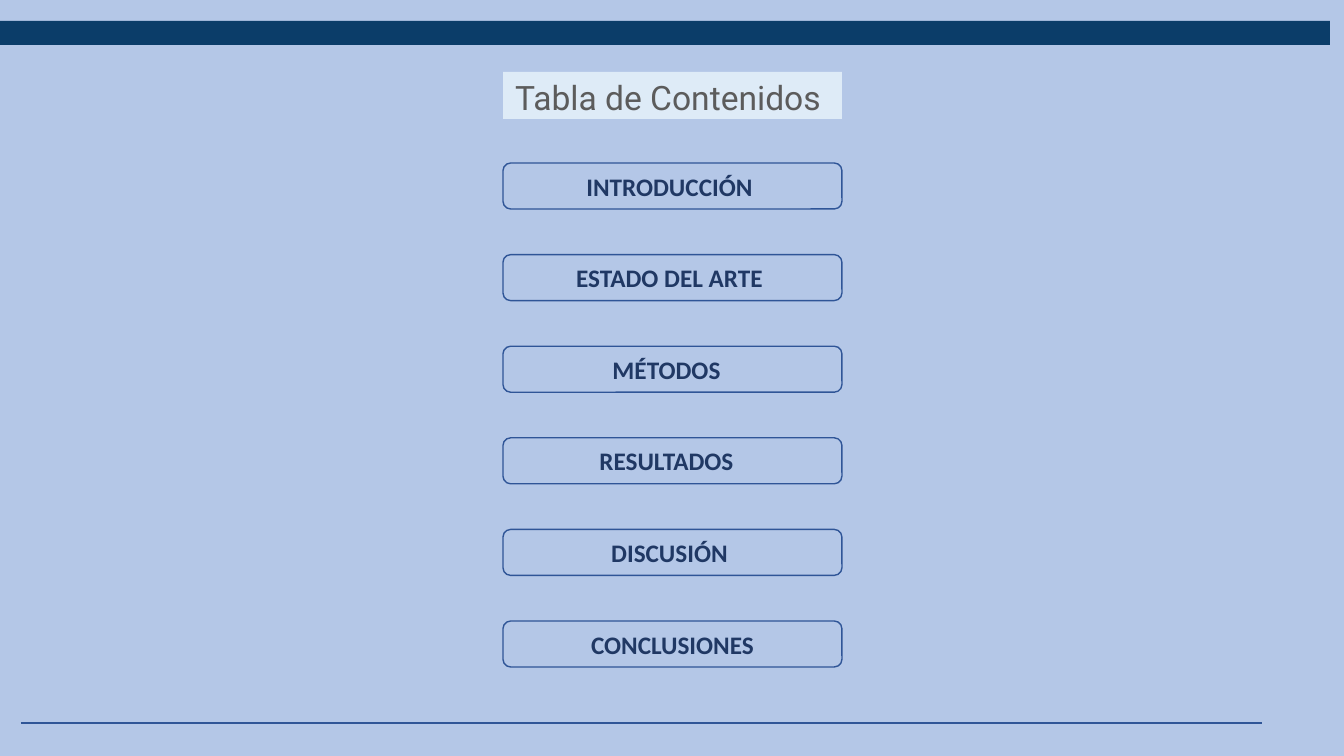
from lxml import etree
from pptx import Presentation
from pptx.dml.color import RGBColor
from pptx.enum.shapes import MSO_CONNECTOR, MSO_SHAPE
from pptx.enum.text import MSO_ANCHOR, MSO_AUTO_SIZE, PP_ALIGN
from pptx.oxml.ns import qn
from pptx.util import Pt

EMU_PER_INCH = 914400
PX_PER_INCH = 100.8
RECTANGLE = MSO_SHAPE.RECTANGLE
ROUNDED = MSO_SHAPE.ROUNDED_RECTANGLE
STRAIGHT = MSO_CONNECTOR.STRAIGHT
TOP, MIDDLE = MSO_ANCHOR.TOP, MSO_ANCHOR.MIDDLE
CENTER = PP_ALIGN.CENTER
NO_AUTOFIT = MSO_AUTO_SIZE.NONE

BACKGROUND = RGBColor(0xB4, 0xC7, 0xE7)
BAND = RGBColor(0x0B, 0x3D, 0x69)
OUTLINE = RGBColor(0x2F, 0x55, 0x97)
BUTTON_TEXT = RGBColor(0x20, 0x38, 0x64)
TITLE_FILL = RGBColor(0xDE, 0xEB, 0xF7)
TITLE_TEXT = RGBColor(0x5C, 0x5C, 0x5C)

SLIDE_SIZE = (1344, 756)
BAND_BOX = (0, 21, 1330, 24)
TITLE_BOX = (503, 72, 339, 47)
MENU_BOX = (503, 163, 339, 504)
FOOTER_BOX = (21, 723, 1241, 0)
BUTTON_HEIGHT = 46
INSET = 10

TITLE_FONT = {"name": "Roboto", "size": Pt(24), "bold": False}
BUTTON_FONT = {"name": "Calibri", "size": Pt(18), "bold": True}

# Each section with the extra right inset that nudges its label left
SECTIONS = [
    ("INTRODUCCIÓN", 6),
    ("ESTADO DEL ARTE", 6),
    ("MÉTODOS", 12),
    ("RESULTADOS", 12),
    ("DISCUSIÓN", 6),
    ("CONCLUSIONES", 0),
]


def px(length):
    return round(length * EMU_PER_INCH / PX_PER_INCH)


def scale(box):
    return [px(length) for length in box]


def set_text(shape, text, font_format, color, left, right, anchor):
    """Write one centred line with the given side insets in px."""
    frame = shape.text_frame
    frame_format = {
        "word_wrap": True,
        "auto_size": NO_AUTOFIT,
        "vertical_anchor": anchor,
        "margin_left": px(left),
        "margin_right": px(right),
        "margin_top": px(5),
        "margin_bottom": px(5),
    }
    for name, value in frame_format.items():
        setattr(frame, name, value)
    paragraph = frame.paragraphs[0]
    paragraph.alignment = CENTER
    paragraph.line_spacing = 1.0
    run = paragraph.add_run()
    run.text = text
    for name, value in font_format.items():
        setattr(run.font, name, value)
    run.font.color.rgb = color


def add_band(slide, box):
    band = slide.shapes.add_shape(RECTANGLE, *scale(box))
    band.shadow.inherit = False
    band.fill.solid()
    band.fill.fore_color.rgb = BAND
    band.line.fill.background()


def add_title(slide, box):
    """Turn the title placeholder into a tab with rounded top corners."""
    title = slide.shapes.title
    title.left, title.top, title.width, title.height = scale(box)
    properties = title.element.spPr
    geometry = etree.SubElement(properties, qn("a:prstGeom"), prst="round2SameRect")
    guides = etree.SubElement(geometry, qn("a:avLst"))
    for name, value in {"adj1": 9000, "adj2": 0}.items():
        etree.SubElement(guides, qn("a:gd"), name=name, fmla=f"val {value}")
    title.fill.solid()
    title.fill.fore_color.rgb = TITLE_FILL
    set_text(title, "Tabla de Contenidos", TITLE_FONT, TITLE_TEXT, 2, 11, TOP)


def add_menu(slide, box):
    """Stack the section buttons evenly over the height of the box."""
    left, top, width, height = box
    pitch = (height - BUTTON_HEIGHT) / (len(SECTIONS) - 1)
    for index, (label, nudge) in enumerate(SECTIONS):
        button_box = (left, top + index * pitch, width, BUTTON_HEIGHT)
        button = slide.shapes.add_shape(ROUNDED, *scale(button_box))
        button.shadow.inherit = False
        button.fill.background()
        button.line.color.rgb = OUTLINE
        button.line.width = Pt(1)
        set_text(button, label, BUTTON_FONT, BUTTON_TEXT, INSET, INSET + nudge, MIDDLE)


def add_footer_line(slide, box):
    left, top, width, height = scale(box)
    line = slide.shapes.add_connector(STRAIGHT, left, top, left + width, top + height)
    line.line.color.rgb = OUTLINE
    line.line.width = Pt(1.5)
    etree.SubElement(line.element.spPr, qn("a:effectLst"))


def add_contents_slide(presentation):
    slide = presentation.slides.add_slide(presentation.slide_layouts.get_by_name("Title Only"))
    slide.background.fill.solid()
    slide.background.fill.fore_color.rgb = BACKGROUND
    add_menu(slide, MENU_BOX)
    add_footer_line(slide, FOOTER_BOX)
    add_title(slide, TITLE_BOX)
    add_band(slide, BAND_BOX)


def main():
    presentation = Presentation()
    presentation.slide_width, presentation.slide_height = scale(SLIDE_SIZE)
    add_contents_slide(presentation)
    presentation.save("out.pptx")


if __name__ == "__main__":
    main()
